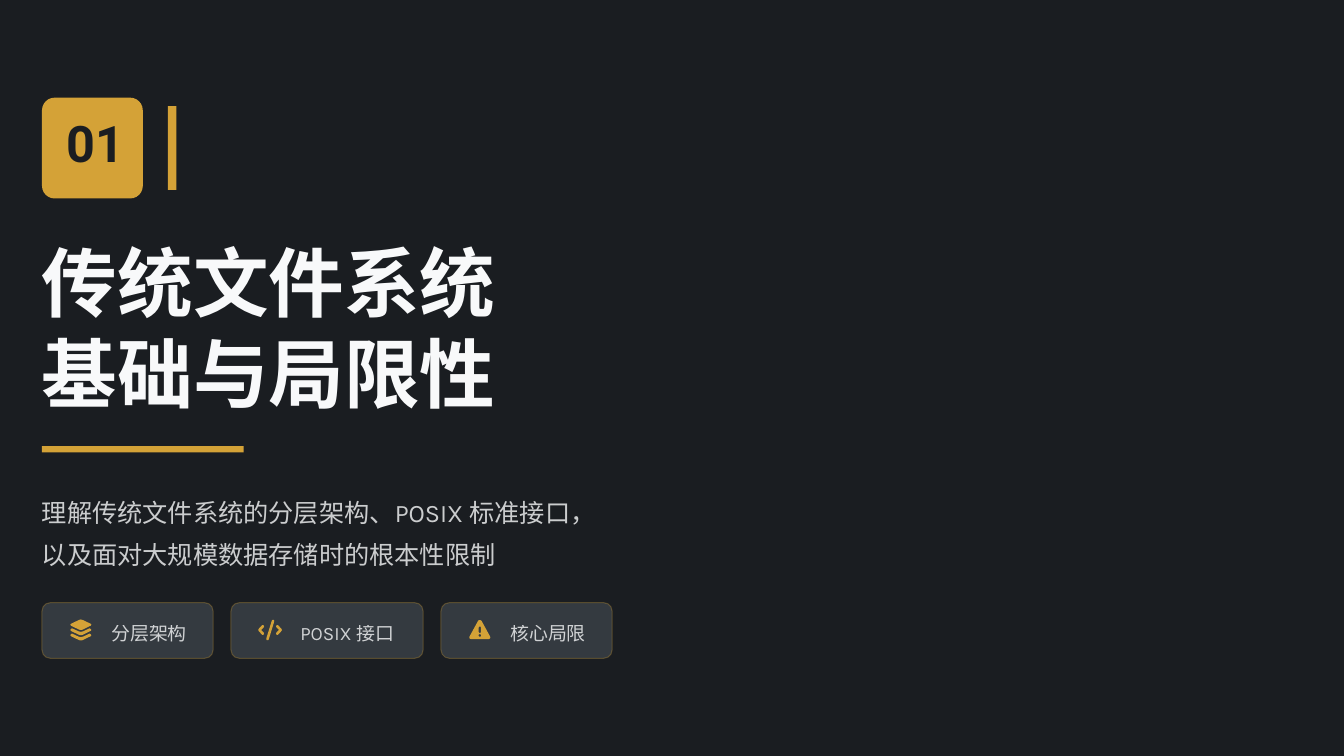
from pptx import Presentation
from pptx import util as u
from pptx.dml.color import RGBColor
from pptx.enum import shapes, text
from pptx.oxml import ns, xmlchemy

PX = 12700
ICON_UNIT = PX // 10
GOLD, DARK, LIGHT, SLATE = "D4A237", "1A1D21", "F8F9FA", "343A40"

LAYER_TOP = [(84, 4), (100, 0), (116, 4), (194, 41), (200, 50), (194, 59),
             (116, 97), (100, 100), (84, 97), (6, 59), (0, 50), (6, 41)]
LAYER_MIDDLE = [(16, 84), (78, 113), (100, 118), (122, 113), (184, 84), (194, 91),
                (200, 100), (194, 109), (116, 147), (100, 150), (84, 147),
                (6, 109), (0, 100), (6, 91)]
LAYERS = [LAYER_TOP, LAYER_MIDDLE, [(x, y + 50) for x, y in LAYER_MIDDLE]]
SLASH = [(130, 9), (137, 3), (146, 3), (152, 9), (152, 20), (100, 191),
         (93, 198), (83, 198), (77, 191), (77, 180)]
CHEVRON = [(173, 57), (170, 67), (173, 75), (198, 100), (173, 125), (170, 135),
           (174, 145), (185, 147), (191, 143), (222, 109), (225, 100),
           (222, 91), (191, 57), (182, 53)]
CODE = [SLASH, CHEVRON, [(225 - x, y) for x, y in CHEVRON]]
WARNING = [
    [(100, 5), (111, 8), (117, 14), (198, 162), (200, 172), (196, 181), (186, 186),
     (14, 186), (4, 181), (0, 172), (2, 162), (83, 14), (89, 8)],
    [(100, 66), (93, 69), (90, 76), (90, 119), (93, 126), (100, 129),
     (107, 126), (110, 119), (110, 76), (107, 69)],
    [(95, 140), (105, 140), (112, 147), (112, 157), (105, 164), (95, 164),
     (88, 157), (88, 147)],
]


def rgb(color):
    """Turn a hex string into a colour."""
    return RGBColor.from_string(color)


def paint(fill, color, holder, alpha=100):
    """Fill with a colour, made translucent inside its XML holder if asked."""
    fill.solid()
    fill.fore_color.rgb = rgb(color)
    if alpha < 100:
        node = holder.find(".//" + ns.qn("a:srgbClr"))
        xmlchemy.OxmlElement("a:alpha")
        opacity = xmlchemy.OxmlElement("a:alpha")
        opacity.set("val", str(alpha * 1000))
        node.append(opacity)


def finish(shape, color):
    """Give a shape a flat fill without line or shadow."""
    shape.shadow.inherit = False
    paint(shape.fill, color, shape.element)
    shape.line.fill.background()


def add_box(slide, left, top, width, height, color, radius=0):
    """Add a rectangle, rounded when it has a radius."""
    kind = shapes.MSO_SHAPE.ROUNDED_RECTANGLE if radius else shapes.MSO_SHAPE.RECTANGLE
    shape = slide.shapes.add_shape(kind, left * PX, top * PX, width * PX, height * PX)
    if radius:
        shape.adjustments[0] = radius / min(width, height)
    finish(shape, color)
    return shape


def write(shape, lines, size, font, color, bold=False, spacing=None, alpha=100):
    """Write one paragraph per line into a frame without margins."""
    frame = shape.text_frame
    frame.word_wrap = True
    frame.auto_size = text.MSO_AUTO_SIZE.NONE
    frame.vertical_anchor = text.MSO_ANCHOR.MIDDLE
    frame.margin_left = frame.margin_right = frame.margin_top = frame.margin_bottom = 0
    for index, line in enumerate(lines):
        paragraph = frame.add_paragraph() if index else frame.paragraphs[0]
        paragraph.alignment = text.PP_ALIGN.LEFT
        if spacing:
            paragraph.line_spacing = spacing
        run = paragraph.add_run()
        run.text = line
        run.font.size = u.Pt(size)
        run.font.name = font
        run.font.bold = bold
        paint(run.font.fill, color, run._r, alpha)


def add_text(slide, left, top, width, height, lines, *style, **options):
    """Add a text box with styled lines."""
    box = slide.shapes.add_textbox(left * PX, top * PX, width * PX, height * PX)
    write(box, lines, *style, **options)


def add_icon(slide, left, top, contours):
    """Draw an icon from closed contours."""
    builder = slide.shapes.build_freeform(*contours[0][0], scale=ICON_UNIT)
    for contour in contours:
        builder.move_to(*contour[0])
        builder.add_line_segments(contour[1:], close=True)
    finish(builder.convert_to_shape(left * PX, top * PX), GOLD)


def add_badge(slide, left, top):
    """Place the section number and the bar beside it."""
    add_box(slide, left, top, 96, 96, GOLD, 12)
    add_text(slide, left + 23, top + 24, 74, 48, ["01"], 48, "Roboto", DARK,
             bold=True, spacing=0.8)
    add_box(slide, left + 120, top + 8, 8, 80, GOLD)


def add_heading(slide, left, top):
    """Place the title, its rule and the summary."""
    title = slide.shapes.title
    title.left, title.top = left * PX, top * PX
    title.width, title.height = 836 * PX, 180 * PX
    write(title, ["传统文件系统", "基础与局限性"], 72, "Noto Sans CJK SC", LIGHT, bold=True)
    add_box(slide, left, top + 204, 192, 6, GOLD)
    summary = ["理解传统文件系统的分层架构、POSIX 标准接口，",
               "以及面对大规模数据存储时的根本性限制"]
    add_text(slide, left, top + 242, 684, 78, summary, 24, "Karla", LIGHT,
             spacing=1.4, alpha=80)


def add_chip(slide, left, top, width, label, icon, icon_left):
    """Place one outlined topic chip with icon and label."""
    chip = add_box(slide, left, top, width, 53, SLATE, 8)
    chip.line.width = u.Pt(1)
    paint(chip.line.fill, GOLD, chip.element.find(".//" + ns.qn("a:ln")), 30)
    add_icon(slide, left + icon_left, top + 16, icon)
    add_text(slide, left + 66, top + 14, width - 82, 24, [label], 18, "Karla", LIGHT,
             spacing=1.3, alpha=80)


def add_chips(slide, left, top):
    """Place the topic chips in a row with equal gaps."""
    for width, label, icon, icon_left in [(163, "分层架构", LAYERS, 27),
                                          (183, "POSIX 接口", CODE, 26),
                                          (163, "核心局限", WARNING, 27)]:
        add_chip(slide, left, top, width, label, icon, icon_left)
        left += width + 17


def main():
    """Build the section slide and save it."""
    presentation = Presentation()
    presentation.slide_width, presentation.slide_height = 1280 * PX, 720 * PX
    slide = presentation.slides.add_slide(presentation.slide_layouts[5])
    slide.background.fill.solid()
    slide.background.fill.fore_color.rgb = rgb(DARK)
    add_badge(slide, 40, 93)
    add_heading(slide, 40, 221)
    add_chips(slide, 40, 574)
    presentation.save("out.pptx")


if __name__ == "__main__":
    main()
